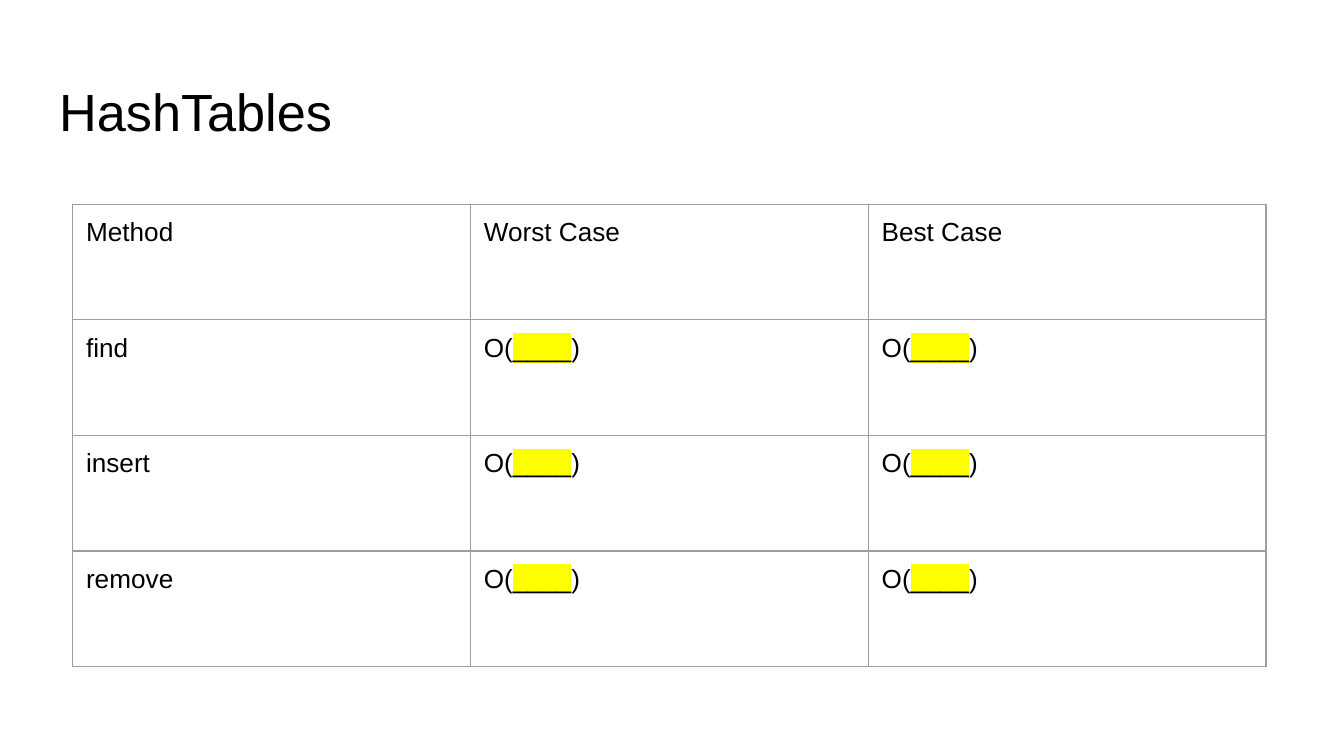
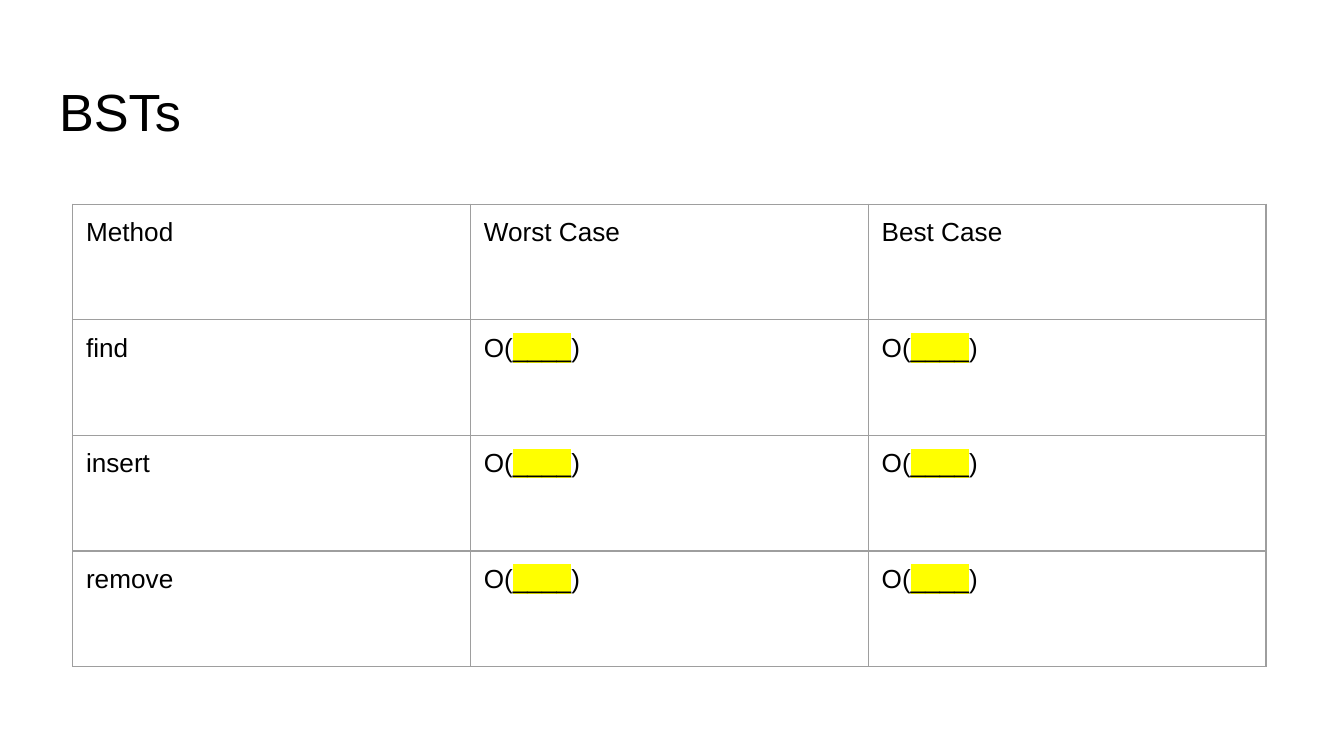
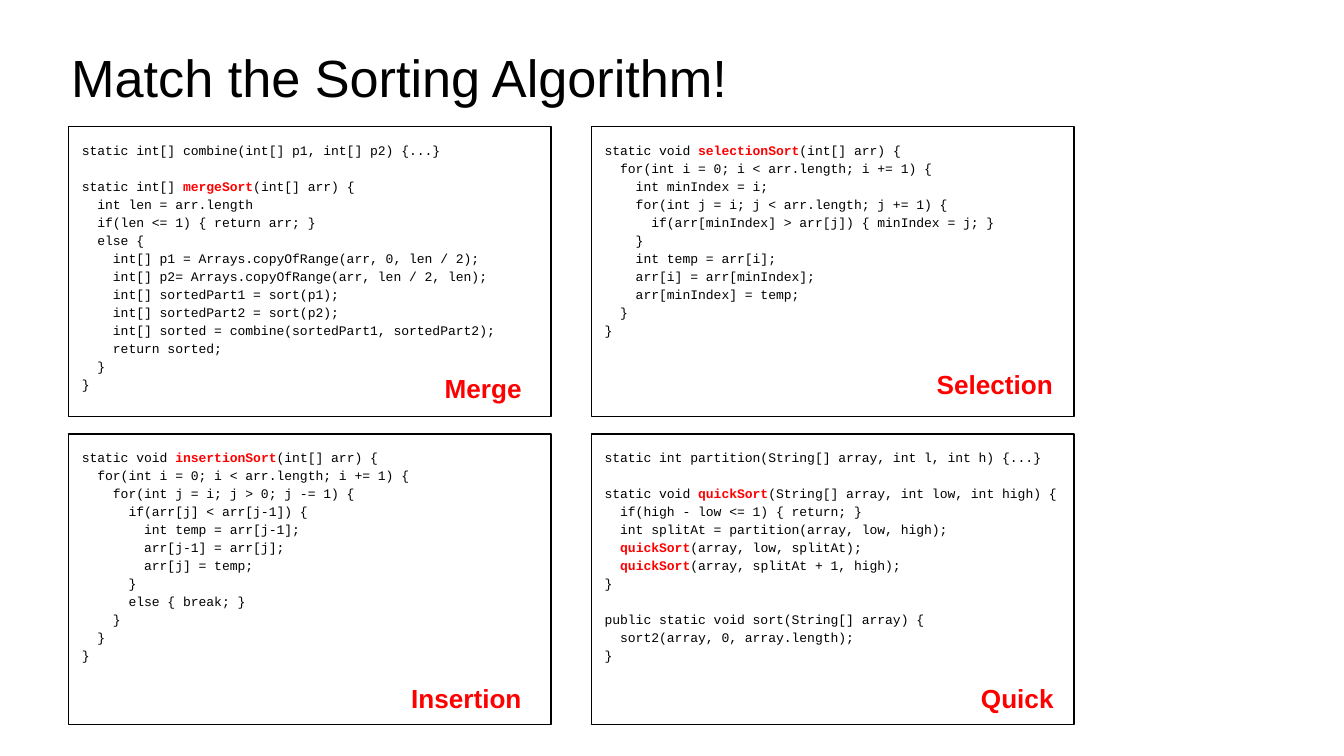
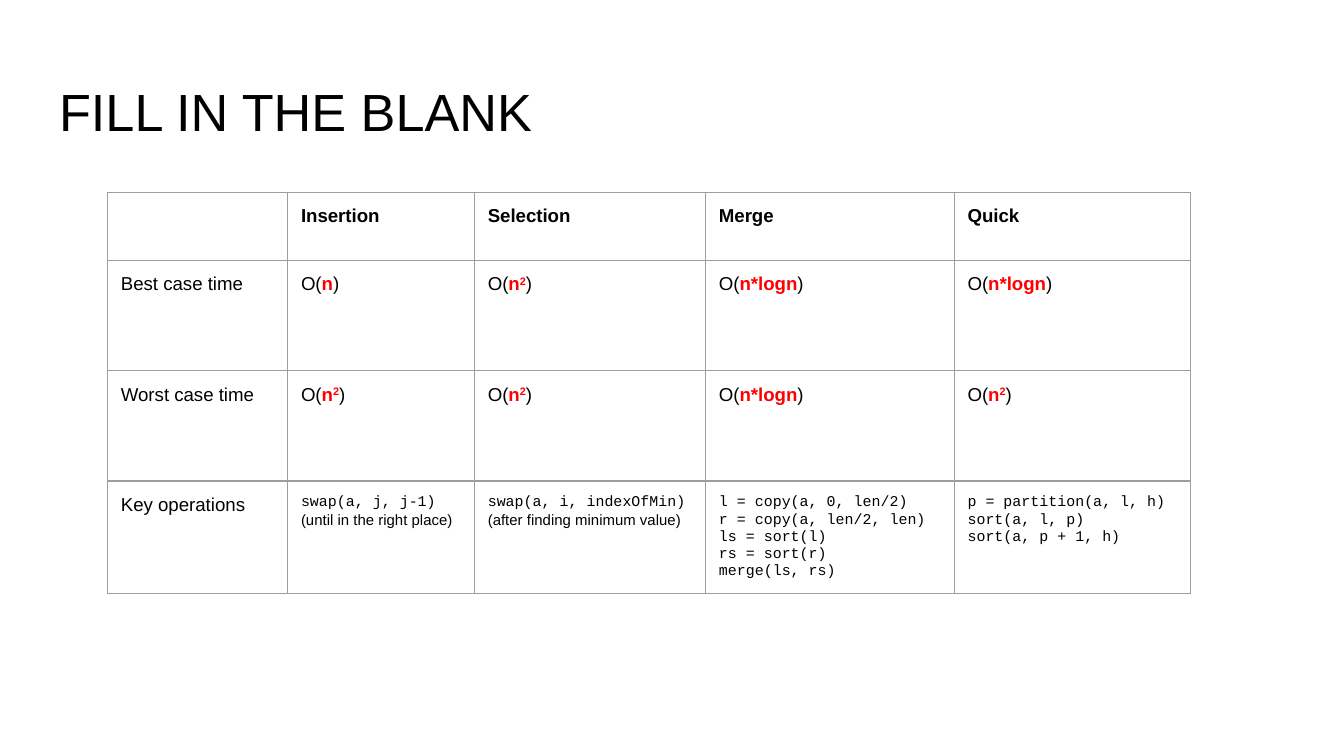
from lxml.etree import SubElement
from pptx import Presentation
from pptx.dml.color import RGBColor
from pptx.enum.shapes import MSO_SHAPE
from pptx.enum.text import MSO_ANCHOR, MSO_AUTO_SIZE, PP_ALIGN
from pptx.oxml.ns import qn
from pptx.util import Inches, Pt

BLACK = RGBColor(0x00, 0x00, 0x00)
RED = RGBColor(0xFF, 0x00, 0x00)
YELLOW = RGBColor(0xFF, 0xFF, 0x00)
GRAY = RGBColor(0x9E, 0x9E, 0x9E)
SANS, MONO = "Arial", "Courier New"
INSET = Inches(0.1)

COMPLEXITY_ROWS = [["Method", "Worst Case", "Best Case"]] + [
    [method, "O(|____|)", "O(|____|)"] for method in ("find", "insert", "remove")
]

SORT_ROWS = [
    ["", "Insertion", "Selection", "Merge", "Quick"],
    ["Best case time", "O(|n|)", "O(|n^2|)", "O(|n*logn|)", "O(|n*logn|)"],
    ["Worst case time", "O(|n^2|)", "O(|n^2|)", "O(|n*logn|)", "O(|n^2|)"],
    [
        "Key operations",
        "swap(a, j, j-1)\n(until in the right place)",
        "swap(a, i, indexOfMin)\n(after finding minimum value)",
        "l = copy(a, 0, len/2)\nr = copy(a, len/2, len)\nls = sort(l)\nrs = sort(r)\nmerge(ls, rs)",
        "p = partition(a, l, h)\nsort(a, l, p)\nsort(a, p + 1, h)",
    ],
]

MERGE_CODE = """static int[] combine(int[] p1, int[] p2) {...}

static int[] |mergeSort|(int[] arr) {
  int len = arr.length
  if(len <= 1) { return arr; }
  else {
    int[] p1 = Arrays.copyOfRange(arr, 0, len / 2);
    int[] p2= Arrays.copyOfRange(arr, len / 2, len);
    int[] sortedPart1 = sort(p1);
    int[] sortedPart2 = sort(p2);
    int[] sorted = combine(sortedPart1, sortedPart2);
    return sorted;
  }
}"""

SELECTION_CODE = """static void |selectionSort|(int[] arr) {
  for(int i = 0; i < arr.length; i += 1) {
    int minIndex = i;
    for(int j = i; j < arr.length; j += 1) {
      if(arr[minIndex] > arr[j]) { minIndex = j; }
    }
    int temp = arr[i];
    arr[i] = arr[minIndex];
    arr[minIndex] = temp;
  }
}"""

INSERTION_CODE = """static void |insertionSort|(int[] arr) {
  for(int i = 0; i < arr.length; i += 1) {
    for(int j = i; j > 0; j -= 1) {
      if(arr[j] < arr[j-1]) {
        int temp = arr[j-1];
        arr[j-1] = arr[j];
        arr[j] = temp;
      }
      else { break; }
    }
  }
}"""

QUICK_CODE = """static int partition(String[] array, int l, int h) {...}

static void |quickSort|(String[] array, int low, int high) {
  if(high - low <= 1) { return; }
  int splitAt = partition(array, low, high);
  |quickSort|(array, low, splitAt);
  |quickSort|(array, splitAt + 1, high);
}

public static void sort(String[] array) {
  sort2(array, 0, array.length);
}"""

CODE_CARDS = [
    (MERGE_CODE, "Merge", 2.70, 1.73, 0.78),
    (SELECTION_CODE, "Selection", 2.47, 1.70, 1.11),
    (INSERTION_CODE, "Insertion", 2.45, 1.75, 1.11),
    (QUICK_CODE, "Quick", 2.80, 1.75, 1.11),
]


def mark_red(r):
    """Show a marked run as a bold red answer."""
    r.font.bold = True
    r.font.color.rgb = RED


def mark_blank(r):
    """Show a marked run as a highlighted blank."""
    rPr = r.font._element
    highlight = SubElement(rPr, qn("a:highlight"))
    SubElement(highlight, qn("a:srgbClr"), val=str(YELLOW))
    rPr.find(qn("a:solidFill")).addnext(highlight)


def add_run(p, text, size, font=SANS, bold=False, color=BLACK):
    """Append a formatted run to a paragraph."""
    r = p.add_run()
    r.text = text
    r.font.size, r.font.bold, r.font.name = Pt(size), bold, font
    r.font.color.rgb = color
    return r


def write_line(p, line, size, font=SANS, bold=False, mark=mark_red):
    """Write a line in which |bars| enclose marked text and ^ raises what follows."""
    for i, piece in enumerate(line.split("|")):
        for j, text in enumerate(piece.split("^")):
            if not text:
                continue
            r = add_run(p, text, size, font, bold)
            if i % 2:
                mark(r)
            if j:
                r.font._element.set("baseline", "30000")


def setup_frame(tf):
    """Give a text frame the shared insets and top anchor."""
    tf.word_wrap = True
    tf.auto_size = MSO_AUTO_SIZE.NONE
    tf.vertical_anchor = MSO_ANCHOR.TOP
    tf.margin_left = tf.margin_right = tf.margin_top = tf.margin_bottom = INSET


def add_titled_slide(prs, title, left=0.34, top=0.49):
    """Add a title-only slide with its title placed and formatted."""
    slide = prs.slides.add_slide(prs.slide_layouts[5])
    sp = slide.shapes.title
    sp.left, sp.top, sp.width, sp.height = map(Inches, (left, top, 9.32, 0.63))
    setup_frame(sp.text_frame)
    p = sp.text_frame.paragraphs[0]
    p.alignment = PP_ALIGN.LEFT
    add_run(p, title, 28)
    return slide


def format_cell(cell):
    """Give a cell no fill, the shared insets and thin gray borders."""
    cell.margin_left = cell.margin_right = cell.margin_top = cell.margin_bottom = INSET
    cell.vertical_anchor = MSO_ANCHOR.TOP
    tcPr = cell._tc.get_or_add_tcPr()
    for side in ("lnL", "lnR", "lnT", "lnB"):
        ln = SubElement(tcPr, qn(f"a:{side}"), w=str(Pt(0.75)))
        fill = SubElement(ln, qn("a:solidFill"))
        SubElement(fill, qn("a:srgbClr"), val=str(GRAY))
    cell.fill.background()


def add_grid(slide, left, top, widths, heights):
    """Add a plain bordered table with the given column widths and row heights."""
    table = slide.shapes.add_table(
        len(heights), len(widths), Inches(left), Inches(top),
        Inches(sum(widths)), Inches(sum(heights))).table
    table.first_row = table.horz_banding = False
    for column, width in zip(table.columns, widths):
        column.width = Inches(width)
    for row, height in zip(table.rows, heights):
        row.height = Inches(height)
    for cell in table.iter_cells():
        format_cell(cell)
    return table


def complexity_slide(prs, title):
    """Build a slide with the method complexities to fill in."""
    slide = add_titled_slide(prs, title)
    table = add_grid(slide, 0.54, 1.52, [2.96] * 3, [0.86] * 4)
    for row, texts in zip(table.rows, COMPLEXITY_ROWS):
        for cell, text in zip(row.cells, texts):
            write_line(cell.text_frame.paragraphs[0], text, 14, mark=mark_blank)


def write_operations(tf, text):
    """Write code lines in monospace and bracketed remarks in the sans font."""
    for i, line in enumerate(text.split("\n")):
        p = tf.add_paragraph() if i else tf.paragraphs[0]
        write_line(p, line, 8, SANS if line.startswith("(") else MONO)


def sorting_table_slide(prs):
    """Build the slide that compares the sorting algorithms."""
    slide = add_titled_slide(prs, "FILL IN THE BLANK")
    table = add_grid(slide, 0.8, 1.43, [1.34, 1.39, 1.72, 1.85, 1.76],
                     [0.51, 0.82, 0.82, 0.83])
    last = len(SORT_ROWS) - 1
    for i, texts in enumerate(SORT_ROWS):
        for j, text in enumerate(texts):
            tf = table.cell(i, j).text_frame
            if i == last and j:
                write_operations(tf, text)
            else:
                write_line(tf.paragraphs[0], text, 10, bold=i == 0)


def write_code(tf, code):
    """Write code lines, turning each empty line into space before the next."""
    p, gap = tf.paragraphs[0], False
    for i, line in enumerate(code.split("\n")):
        if not line:
            gap = True
            continue
        if i:
            p = tf.add_paragraph()
        p.alignment = PP_ALIGN.LEFT
        p.line_spacing = 1.15
        if gap:
            p.space_before = Pt(9.7)
        gap = False
        write_line(p, line, 7, MONO)


def code_card(slide, left, top, code, label, label_dx, label_dy, label_width):
    """Draw a framed code listing with its algorithm name near the lower right."""
    sp = slide.shapes.add_shape(MSO_SHAPE.RECTANGLE, Inches(left), Inches(top),
                                Inches(3.59), Inches(2.16))
    sp.shadow.inherit = False
    sp.fill.background()
    sp.line.color.rgb = BLACK
    sp.line.width = Pt(0.75)
    setup_frame(sp.text_frame)
    write_code(sp.text_frame, code)

    box = slide.shapes.add_textbox(Inches(left + label_dx), Inches(top + label_dy),
                                   Inches(label_width), Inches(0.28))
    setup_frame(box.text_frame)
    add_run(box.text_frame.paragraphs[0], label, 14, bold=True, color=RED)


def matching_slide(prs):
    """Build the slide with the two-by-two grid of code cards."""
    slide = add_titled_slide(prs, "Match the Sorting Algorithm!", 0.43, 0.24)
    for i, card in enumerate(CODE_CARDS):
        row, col = divmod(i, 2)
        code_card(slide, 0.51 + col * 3.89, 0.94 + row * 2.29, *card)


def main():
    """Build and save the presentation."""
    prs = Presentation()
    prs.slide_width = Inches(10)
    prs.slide_height = Inches(10 * 9 / 16)
    complexity_slide(prs, "HashTables")
    complexity_slide(prs, "BSTs")
    matching_slide(prs)
    sorting_table_slide(prs)
    prs.save("out.pptx")


if __name__ == "__main__":
    main()
